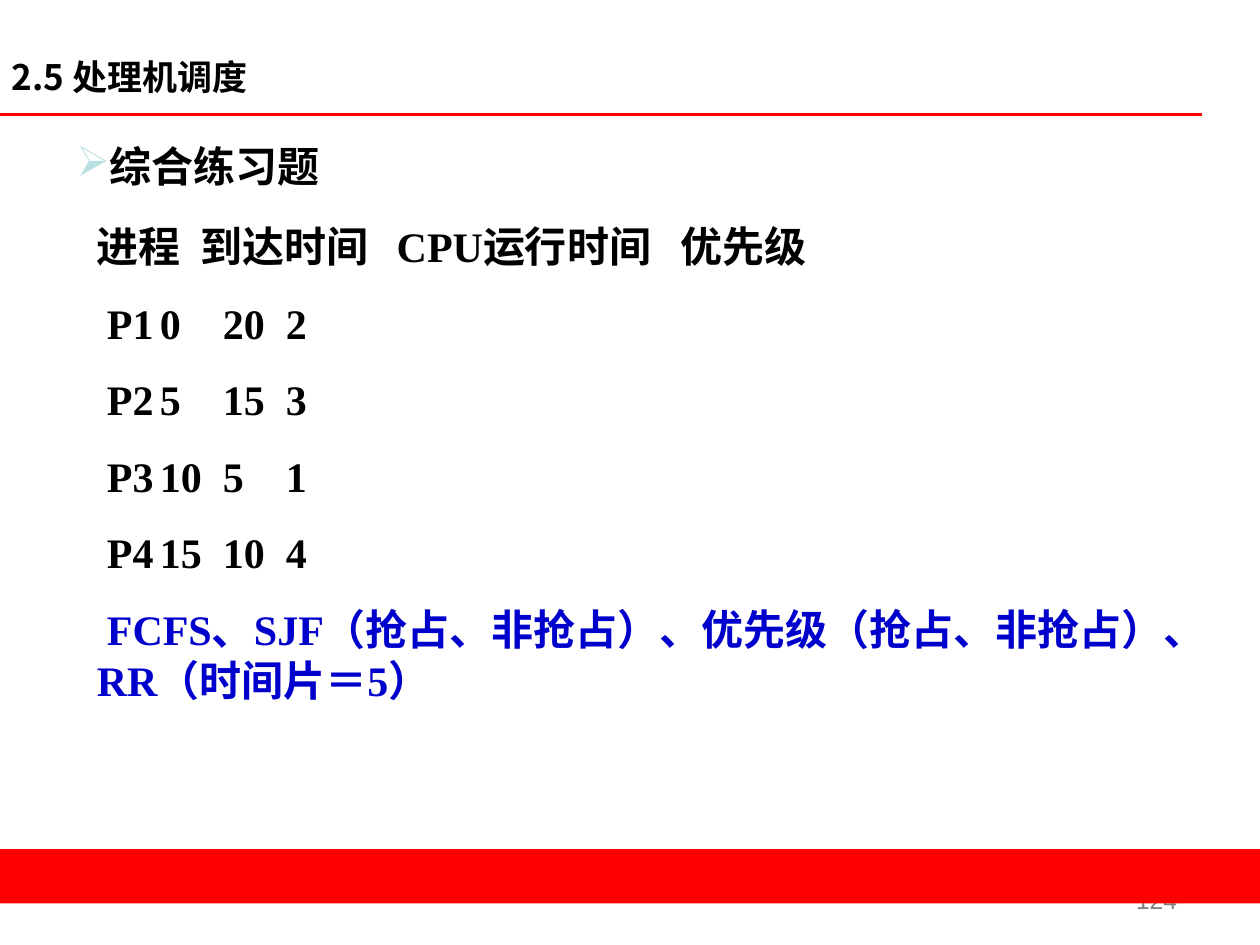
from lxml import etree
from pptx import Presentation
from pptx import util as u
from pptx.dml.color import RGBColor
from pptx.enum import shapes, text
from pptx.oxml.ns import qn

SERIF, SANS, CJK = "Times New Roman", "Arial", "Noto Sans CJK SC"
BLACK, RED, BLUE, GREY, WHITE, PALE = "000000", "FF0000", "0000CC", "808080", "FFFFFF", "BBE0E3"
HEADER_STOPS = [0.82, 2.38, 4.63]
ROW_STOPS = [1.28, 2.95, 4.95]
FIRST_INDENT = 0.08
PROCESSES = [
    ("P1", "0", "20", "2"),
    ("P2", "5", "15", "3"),
    ("P3", "10", "5", "1"),
    ("P4", "15", "10", "4"),
]


def colour(value):
    return RGBColor.from_string(value)


def box_of(values):
    return [u.Inches(value) for value in values]


class Deck:
    def __init__(self):
        self.presentation = Presentation()
        self.presentation.slide_width = u.Inches(10)
        self.presentation.slide_height = u.Inches(7.5)
        self.slide = self.presentation.slides.add_slide(self.presentation.slide_layouts[6])

    def rectangle(self, box, fill):
        shape = self.slide.shapes.add_shape(shapes.MSO_SHAPE.RECTANGLE, *box_of(box))
        shape.shadow.inherit = False
        shape.fill.solid()
        shape.fill.fore_color.rgb = colour(fill)
        shape.line.fill.background()
        return shape

    def line(self, start, end, tint, width):
        connector = self.slide.shapes.add_connector(
            shapes.MSO_CONNECTOR.STRAIGHT, *box_of(start + end))
        connector.line.color.rgb = colour(tint)
        connector.line.width = u.Pt(width)
        etree.SubElement(connector._element.spPr, qn("a:effectLst"))

    def text_box(self, box, anchor=text.MSO_ANCHOR.TOP):
        frame = self.slide.shapes.add_textbox(*box_of(box)).text_frame
        frame.word_wrap = True
        frame.vertical_anchor = anchor
        return frame

    def label(self, paragraph, words, size=24, font=SERIF, tint=BLACK, bold=True,
              align=text.PP_ALIGN.LEFT):
        paragraph.text = words
        paragraph.alignment = align
        for run in paragraph.runs:
            run.font.size = u.Pt(size)
            run.font.name = font
            run.font.bold = bold
            run.font.color.rgb = colour(tint)

    def bullet(self, paragraph, mark, tint):
        properties = paragraph._p.get_or_add_pPr()
        bullet_colour = etree.SubElement(properties, qn("a:buClr"))
        etree.SubElement(bullet_colour, qn("a:srgbClr"), val=tint)
        etree.SubElement(properties, qn("a:buChar"), char=mark)

    def indent(self, paragraph, first):
        properties = paragraph._p.get_or_add_pPr()
        properties.set("marL", "0")
        properties.set("indent", str(u.Inches(first)))

    def tabs(self, paragraph, stops):
        tab_list = etree.SubElement(paragraph._p.get_or_add_pPr(), qn("a:tabLst"))
        for stop in stops:
            etree.SubElement(tab_list, qn("a:tab"), pos=str(u.Inches(stop)), algn="l")


def main():
    deck = Deck()

    heading = deck.text_box((0.51, 1.07, 5.67, 0.5)).paragraphs[0]
    deck.bullet(heading, "➢", PALE)
    deck.label(heading, "综合练习题")

    body = deck.text_box((0.67, 1.7, 8.98, 3.94))
    header = body.paragraphs[0]
    deck.tabs(header, HEADER_STOPS)
    deck.label(header, "进程\t到达时间\tCPU运行时间\t优先级")
    for process in PROCESSES:
        row = body.add_paragraph()
        row.space_before = u.Pt(15)
        deck.indent(row, FIRST_INDENT)
        deck.tabs(row, ROW_STOPS)
        deck.label(row, "\t".join(process))
    task = body.add_paragraph()
    task.space_before = u.Pt(15)
    deck.indent(task, FIRST_INDENT)
    deck.label(task, "FCFS、SJF（抢占、非抢占）、优先级（抢占、非抢占）、RR（时间片＝5）", tint=BLUE)

    number = deck.text_box((7.36, 6.81, 2.08, 0.5), text.MSO_ANCHOR.BOTTOM).paragraphs[0]
    deck.label(number, "124", 14, SANS, GREY, False, text.PP_ALIGN.RIGHT)

    deck.rectangle((0, 6.74, 10, 0.43), RED)
    deck.line((0, 0.91), (9.54, 0.91), RED, 1.5)

    title = deck.rectangle((0, 0.44, 5.78, 0.34), WHITE).text_frame
    title.margin_left = title.margin_right = u.Inches(0.09)
    title.margin_top = title.margin_bottom = u.Inches(0.04)
    title.vertical_anchor = text.MSO_ANCHOR.MIDDLE
    deck.label(title.paragraphs[0], "2.5 处理机调度", 20, CJK)

    deck.presentation.save("out.pptx")


if __name__ == "__main__":
    main()
